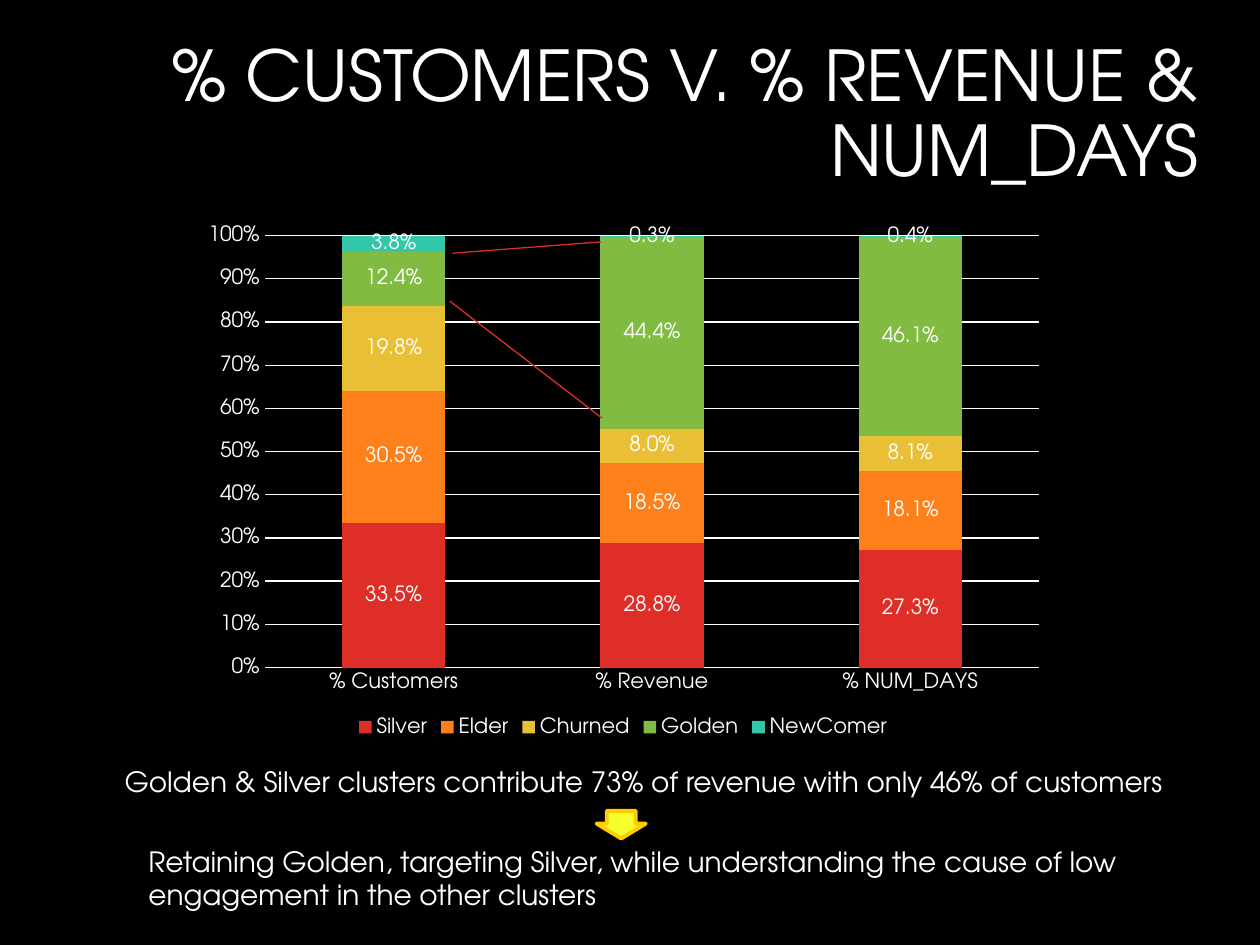
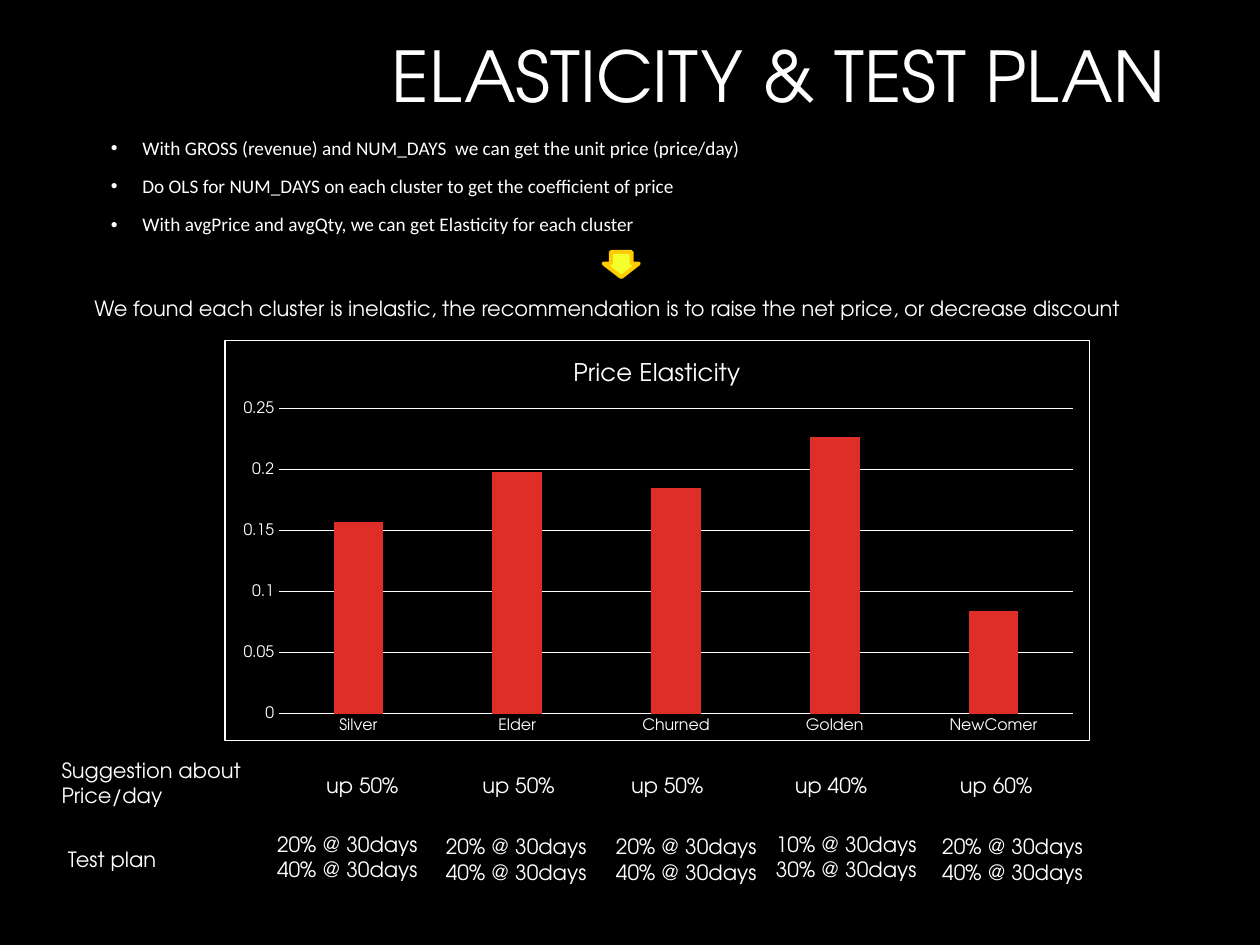
from dataclasses import dataclass

from lxml.etree import SubElement
from pptx import Presentation
from pptx.chart.data import CategoryChartData
from pptx.dml.color import RGBColor as Color
from pptx.enum.chart import XL_CHART_TYPE as ChartType
from pptx.enum.chart import XL_LABEL_POSITION as LabelPosition
from pptx.enum.chart import XL_LEGEND_POSITION as LegendPosition
from pptx.enum.chart import XL_TICK_MARK as TickMark
from pptx.enum.shapes import MSO_CONNECTOR as Connector
from pptx.enum.shapes import MSO_SHAPE as Shape
from pptx.enum.text import MSO_ANCHOR as Anchor
from pptx.enum.text import MSO_AUTO_SIZE as AutoSize
from pptx.enum.text import PP_ALIGN as Align
from pptx.oxml import parse_xml
from pptx.oxml.ns import nsdecls, qn
from pptx.util import Pt

PX = 9144
TITLE_ONLY, TITLE_AND_BODY = 5, 1


@dataclass(frozen=True)
class Theme:
    """Colours, fonts and type sizes of the deck."""

    back: str = "000000"
    ink: str = "FFFFFF"
    arrow_fill: str = "F5FF2D"
    arrow_line: str = "FFCC00"
    series: tuple = ("DF2E28", "FE801A", "E9BF35", "81BB42", "32C7A9")
    font: str = "TeX Gyre Adventor"
    list_font: str = "Calibri"
    title: int = 40
    message: int = 16
    chart_title: int = 14
    label: int = 12
    bullet: int = 11
    axis: int = 9
    hairline: float = 0.75
    outline: float = 2.25


def px(*lengths):
    """Turn px lengths into EMU."""
    return [length * PX for length in lengths]


def assign(target, formats):
    """Set every attribute named in a dict of format values."""
    for name, value in formats.items():
        setattr(target, name, value)


class Deck:
    """Holds the style and the current slide, and draws elements on it."""

    def __init__(self, theme):
        self.theme = theme
        self.deck = Presentation()
        self.page = None
        assign(self.deck, {"slide_width": 1000 * PX, "slide_height": 750 * PX})
        fill = self.deck.slide_master.background.fill
        fill.solid()
        fill.fore_color.rgb = Color.from_string(theme.back)

    def add_page(self, layout):
        """Start a new slide."""
        self.page = self.deck.slides.add_slide(self.deck.slide_layouts[layout])

    def style_font(self, font, size, name=None):
        """Give a font its face, size and the ink colour."""
        assign(font, {"name": name or self.theme.font, "size": Pt(size), "bold": False})
        font.color.rgb = Color.from_string(self.theme.ink)

    def style_line(self, line, color, width):
        """Give a line its colour and width."""
        line.color.rgb = Color.from_string(color)
        line.width = Pt(width)

    def fill_text(self, frame, lines, size, name=None, formats=None):
        """Fill a text frame with one paragraph per line."""
        for index, line in enumerate(lines):
            para = frame.paragraphs[0] if index == 0 else frame.add_paragraph()
            assign(para, formats or {})
            span = para.add_run()
            span.text = line
            self.style_font(span.font, size, name)

    def place(self, box, area):
        """Move a placeholder to an area."""
        assign(box, dict(zip(("left", "top", "width", "height"), px(*area))))
        box.text_frame.auto_size = AutoSize.NONE

    def title(self, area, text):
        """Fill the title placeholder."""
        box = self.page.shapes.title
        self.place(box, area)
        box.text_frame.vertical_anchor = Anchor.MIDDLE
        formats = {"alignment": Align.RIGHT, "line_spacing": 0.9}
        self.fill_text(box.text_frame, [text], self.theme.title, formats=formats)

    def bullets(self, area, lines):
        """Fill the body placeholder with a bulleted list."""
        box = self.page.placeholders[1]
        self.place(box, area)
        self.fill_text(box.text_frame, lines, self.theme.bullet, self.theme.list_font,
                       {"line_spacing": 0.9, "space_before": Pt(10)})
        for para in box.text_frame.paragraphs:
            props = para._p.get_or_add_pPr()
            props.set("marL", str(25 * PX))
            props.set("indent", str(-25 * PX))
            SubElement(props, qn("a:buChar")).set("char", "•")
        box.text_frame.paragraphs[0].space_before = Pt(0)

    def text(self, area, lines, size, wrap=False):
        """Add a text box."""
        frame = self.page.shapes.add_textbox(*px(*area)).text_frame
        assign(frame, {"word_wrap": wrap, "auto_size": AutoSize.SHAPE_TO_FIT_TEXT})
        self.fill_text(frame, lines, size)

    def down_arrow(self, area):
        """Add a block arrow that points down."""
        arrow = self.page.shapes.add_shape(Shape.RIGHT_ARROW, *px(*area))
        arrow.rotation = 90
        arrow.shadow.inherit = False
        arrow.adjustments[0], arrow.adjustments[1] = 0.59, 0.54
        arrow.fill.solid()
        arrow.fill.fore_color.rgb = Color.from_string(self.theme.arrow_fill)
        self.style_line(arrow.line, self.theme.arrow_line, self.theme.outline)

    def line(self, *ends):
        """Add a thin straight line."""
        line = self.page.shapes.add_connector(Connector.STRAIGHT, *px(*ends))
        self.style_line(line.line, self.theme.series[0], self.theme.hairline)
        SubElement(line._element.spPr, qn("a:effectLst"))

    def chart(self, kind, area, plot_area, categories, series, size, scale,
              gap, overlap, number_format):
        """Add a column chart whose plot fills the given area."""
        data = CategoryChartData()
        data.categories = categories
        for name, values in series.items():
            data.add_series(name, values)
        chart = self.page.shapes.add_chart(kind, *px(*area), data).chart
        assign(chart, {"has_legend": False, "has_title": False})
        self.style_font(chart.font, size)
        plot = chart.plots[0]
        assign(plot, {"gap_width": gap, "overlap": overlap, "vary_by_categories": False})
        for column, color in zip(plot.series, self.theme.series):
            column.format.fill.solid()
            column.format.fill.fore_color.rgb = Color.from_string(color)
        for axis in (chart.category_axis, chart.value_axis):
            assign(axis, {"major_tick_mark": TickMark.NONE, "minor_tick_mark": TickMark.NONE})
            self.style_font(axis.tick_labels.font, size)
        self.style_line(chart.category_axis.format.line, self.theme.ink, self.theme.hairline)
        values = chart.value_axis
        values.format.line.fill.background()
        assign(values, dict(zip(("minimum_scale", "maximum_scale", "major_unit"), scale)))
        self.style_line(values.major_gridlines.format.line, self.theme.ink, self.theme.hairline)
        assign(values.tick_labels, {"number_format": number_format,
                                    "number_format_is_linked": False})
        self.plot_layout(chart, area, plot_area)
        return chart

    def plot_layout(self, chart, area, plot_area):
        """Fix the inner plot and clear the chart's backgrounds."""
        left, top, width, height = area
        x, y, wide, high = plot_area
        shares = {"x": (x - left) / width, "y": (y - top) / height,
                  "w": wide / width, "h": high / height}
        modes = {"layoutTarget": "inner", "xMode": "edge", "yMode": "edge"}
        plot = chart.element.find(qn("c:chart")).find(qn("c:plotArea"))
        layout = plot.find(qn("c:layout"))
        if layout is None:
            layout = parse_xml(f"<c:layout {nsdecls('c')}/>")
            plot.insert(0, layout)
        manual = SubElement(layout, qn("c:manualLayout"))
        for name, value in (modes | shares).items():
            SubElement(manual, qn(f"c:{name}")).set("val", str(value))
        plot.append(self.clear_area())
        self.border(chart)

    def clear_area(self, line="<a:ln><a:noFill/></a:ln>"):
        """Return shape properties without a fill."""
        return parse_xml(f"<c:spPr {nsdecls('c', 'a')}><a:noFill/>{line}</c:spPr>")

    def border(self, chart, color=None):
        """Frame a chart, or leave it without a frame."""
        area = self.clear_area()
        if color:
            width = int(Pt(self.theme.hairline))
            area = self.clear_area(f'<a:ln w="{width}"><a:solidFill><a:srgbClr val="{color}"/>'
                                   "</a:solidFill></a:ln>")
        old = chart.element.find(qn("c:spPr"))
        if old is not None:
            chart.element.remove(old)
        chart.element.find(qn("c:chart")).addnext(area)

    def value_labels(self, chart, number_format):
        """Show each value in the middle of its column."""
        for column in chart.plots[0].series:
            labels = column.data_labels
            assign(labels, {"show_value": True, "position": LabelPosition.CENTER,
                            "number_format": number_format,
                            "number_format_is_linked": False})
            self.style_font(labels.font, self.theme.label)

    def legend(self, chart):
        """Put a legend under the chart."""
        chart.has_legend = True
        assign(chart.legend, {"position": LegendPosition.BOTTOM, "include_in_layout": False})
        self.style_font(chart.legend.font, self.theme.label)

    def chart_title(self, chart, text):
        """Give the chart a heading."""
        chart.has_title = True
        self.fill_text(chart.chart_title.text_frame, [text], self.theme.chart_title)


def share_page(deck):
    """Compare the clusters' shares of customers, revenue and days."""
    theme = deck.theme
    deck.add_page(TITLE_ONLY)
    deck.title((121, 17, 840, 151), "% CUSTOMERS V. % REVENUE & NUM_DAYS")
    shares = {
        "Silver": (0.335, 0.288, 0.273),
        "Elder": (0.305, 0.185, 0.181),
        "Churned": (0.198, 0.08, 0.081),
        "Golden": (0.124, 0.444, 0.461),
        "NewComer": (0.038, 0.003, 0.004),
    }
    chart = deck.chart(ChartType.COLUMN_STACKED_100, (151, 171, 687, 418), (210, 187, 615, 343),
                       ("% Customers", "% Revenue", "% NUM_DAYS"), shares,
                       theme.label, (0, 1, 0.1), 150, 100, "0%")
    deck.value_labels(chart, "0.0%")
    deck.legend(chart)
    deck.line(357, 239, 478, 332)
    deck.line(359, 201, 477, 192)
    deck.text((89, 602, 858, 37),
              ["Golden & Silver clusters contribute 73% of revenue with only 46% of customers"],
              theme.message)
    deck.down_arrow((482, 635, 22, 39))
    deck.text((108, 665, 820, 64),
              ["Retaining Golden, targeting Silver, while understanding the cause of low "
               "engagement in the other clusters"], theme.message, wrap=True)


def elasticity_page(deck):
    """Show price elasticity and the test plan for each cluster."""
    theme = deck.theme
    deck.add_page(TITLE_AND_BODY)
    deck.title((238, 7, 697, 113), "ELASTICITY & TEST PLAN")
    deck.bullets((78, 105, 528, 100), [
        "With GROSS (revenue) and NUM_DAYS  we can get the unit price (price/day)",
        "Do OLS for NUM_DAYS on each cluster to get the coefficient of price",
        "With avgPrice and avgQty, we can get Elasticity for each cluster",
    ])
    deck.down_arrow((483, 196, 20, 28))
    deck.text((65, 230, 852, 30),
              ["We found each cluster is inelastic, the recommendation is to raise "
               "the net price, or decrease discount"], theme.label)
    chart = deck.chart(ChartType.COLUMN_CLUSTERED, (178, 270, 687, 318), (221, 324, 631, 243),
                       ("Silver", "Elder", "Churned", "Golden", "NewComer"),
                       {"Series 1": (0.157, 0.198, 0.185, 0.227, 0.084)},
                       theme.axis, (0, 0.25, 0.05), 219, -27, "General")
    deck.chart_title(chart, "Price Elasticity")
    deck.border(chart, theme.ink)
    deck.text((39, 596, 164, 50), ["Suggestion about", "Price/day"], theme.label)
    for left, rise in zip((249, 373, 491, 621, 752), (50, 50, 50, 40, 60)):
        deck.text((left, 608, 78, 30), [f"up {rise}%"], theme.label)
    deck.text((44, 667, 92, 30), ["Test plan"], theme.label)
    tests = ((210, 655, 138, 20), (344, 657, 138, 20), (479, 657, 138, 20),
             (606, 655, 133, 10), (738, 657, 133, 20))
    for left, top, width, first in tests:
        steps = [f"{rise}% @ 30days" for rise in (first, first + 20)]
        deck.text((left, top, width, 50), steps, theme.label)


def main():
    """Build the deck and save it."""
    deck = Deck(Theme())
    share_page(deck)
    elasticity_page(deck)
    deck.deck.save("out.pptx")


if __name__ == "__main__":
    main()
